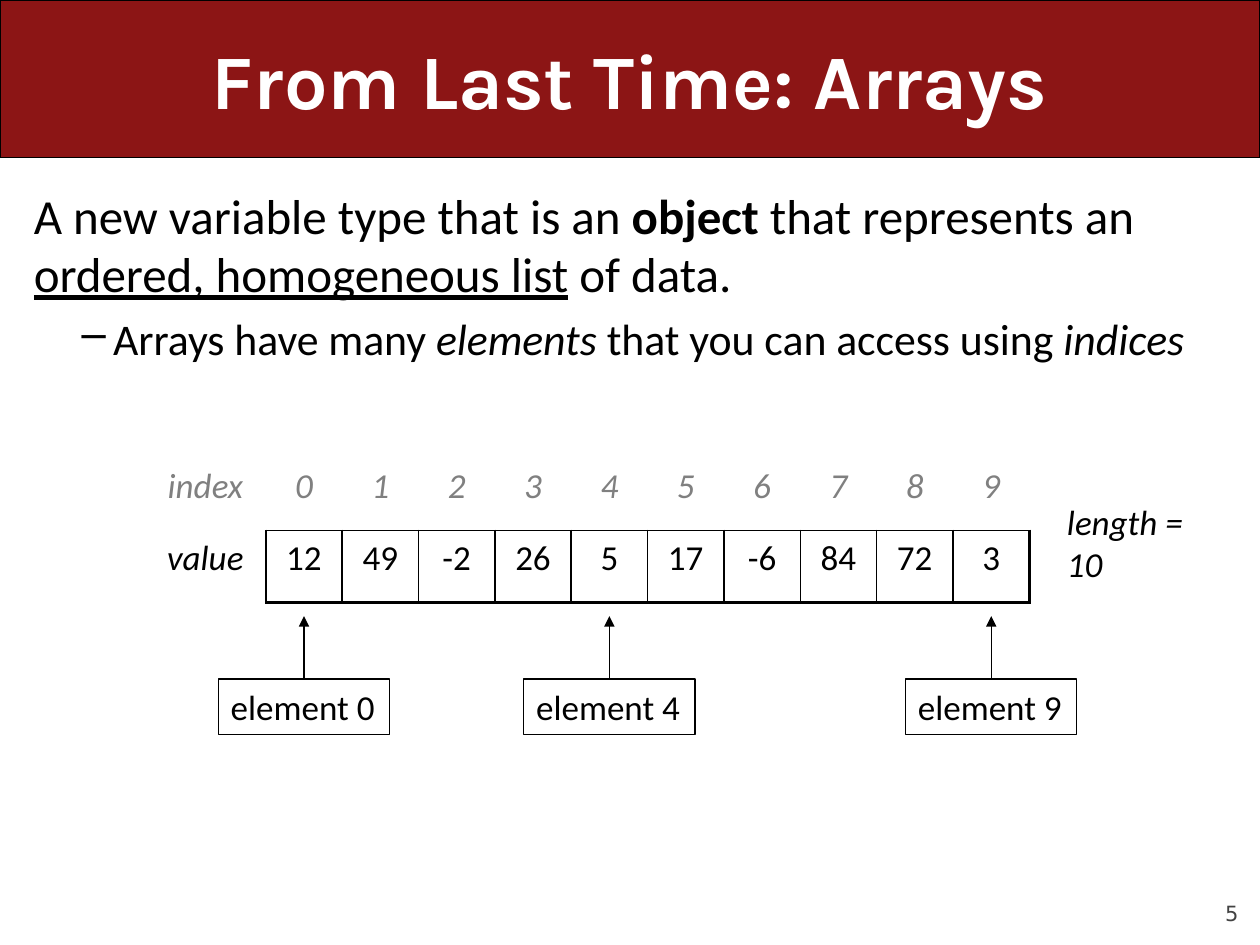
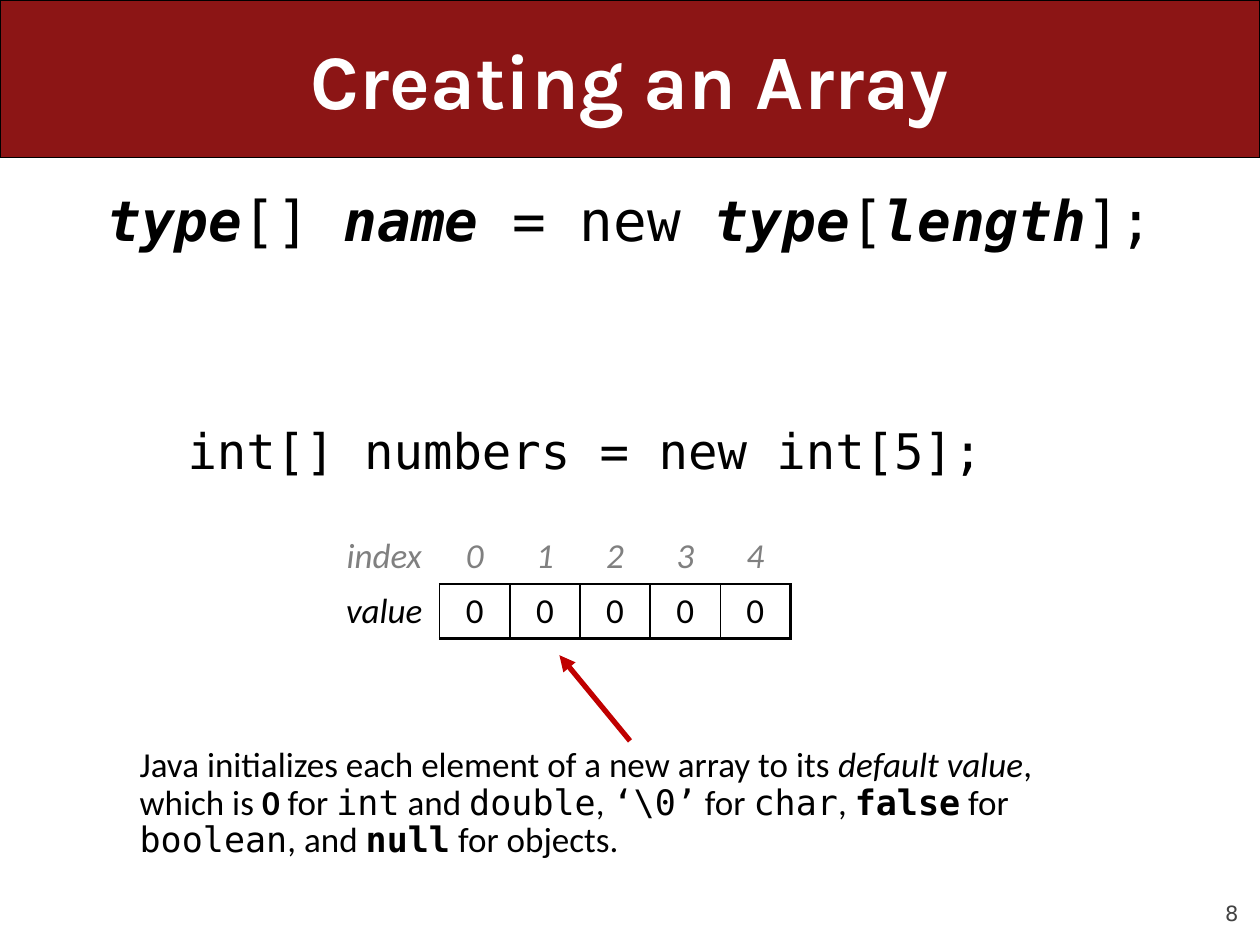
from lxml.etree import SubElement
from pptx import Presentation
from pptx.dml.color import RGBColor
from pptx.enum.shapes import MSO_CONNECTOR as Connector, MSO_SHAPE as Shape
from pptx.enum.text import MSO_ANCHOR as Anchor, PP_ALIGN as Align
from pptx.oxml.ns import qn
from pptx.oxml.xmlchemy import OxmlElement
from pptx.util import Inches, Pt

COLORS = {
    "band": "8C1515",
    "title": "FFFFFF",
    "text": "000000",
    "index": "808080",
    "page": "424242",
    "pointer": "C00000",
}
BODY_FONT = "Calibri"
TITLE_FONT = "Karla"
CODE_FONT = "DejaVu Sans Mono"
PAGE_FONT = "DejaVu Sans"
BODY_LEFT, BODY_TOP, BODY_WIDTH = 0.17, 1.42, 9.67
THIN, THICK = 1, 2.25


def color(name):
    return RGBColor.from_string(COLORS[name])


def add_runs(paragraph, runs, size, color_name="text", font_name=BODY_FONT):
    """Add (text, style) pairs; style letters: b bold, i italic, u underline, m code font."""
    for text, style in runs:
        run = paragraph.add_run()
        run.text = text
        font = run.font
        font.name = CODE_FONT if "m" in style else font_name
        font.size = Pt(size)
        font.color.rgb = color(color_name)
        font.bold = "b" in style
        font.italic = "i" in style
        font.underline = "u" in style


def add_text(slide, box, runs, size, color_name="text", font_name=BODY_FONT,
             align=Align.LEFT, anchor=Anchor.TOP, wrap=True):
    shape = slide.shapes.add_textbox(*map(Inches, box))
    frame = shape.text_frame
    frame.word_wrap = wrap
    frame.vertical_anchor = anchor
    frame.paragraphs[0].alignment = align
    add_runs(frame.paragraphs[0], runs, size, color_name, font_name)
    return frame


def add_dash_item(frame, runs, size):
    paragraph = frame.add_paragraph()
    properties = paragraph._p.get_or_add_pPr()
    properties.set("marL", str(Inches(0.63)))
    properties.set("indent", str(Inches(-0.25)))
    SubElement(properties, qn("a:buChar")).set("char", "–")
    paragraph.space_before = Pt(size * 0.2)
    add_runs(paragraph, runs, size)


def add_rectangle(slide, box, fill_name=None):
    shape = slide.shapes.add_shape(Shape.RECTANGLE, *map(Inches, box))
    shape.shadow.inherit = False
    if fill_name:
        shape.fill.solid()
        shape.fill.fore_color.rgb = color(fill_name)
    else:
        shape.fill.background()
    shape.line.color.rgb = color("text")
    shape.line.width = Pt(0.75)
    return shape


def add_arrow(slide, start, end, color_name="text", width=0.75):
    arrow = slide.shapes.add_connector(Connector.STRAIGHT, *map(Inches, start + end))
    arrow.line.color.rgb = color(color_name)
    arrow.line.width = Pt(width)
    SubElement(arrow.line._get_or_add_ln(), qn("a:tailEnd")).set("type", "triangle")
    SubElement(arrow._element.spPr, qn("a:effectLst"))


def set_borders(cell, widths):
    """Draw the sides named in widths (L, R, T, B) and hide the others."""
    properties = cell._tc.get_or_add_tcPr()
    for position, side in enumerate("LRTB"):
        line = OxmlElement(f"a:ln{side}")
        if side in widths:
            line.set("w", str(Pt(widths[side])))
            fill = SubElement(line, qn("a:solidFill"))
            SubElement(fill, qn("a:srgbClr")).set("val", COLORS["text"])
        else:
            SubElement(line, qn("a:noFill"))
        properties.insert(position, line)


def array_borders(row, column, last):
    if row == 0:
        return {"B": THIN} if column else {}
    if column == 0:
        return {"R": THIN}
    return {"L": THIN, "T": THIN, "B": THICK, "R": THICK if column == last else THIN}


def add_array(slide, left, top, label_width, cell_width, row_height, values):
    """Draw an array as a row of indices above a row of boxed values."""
    last = len(values)
    width = label_width + cell_width * last
    table = slide.shapes.add_table(2, last + 1, Inches(left), Inches(top),
                                   Inches(width), Inches(2 * row_height)).table
    table.first_row = table.horz_banding = False
    for position, column in enumerate(table.columns):
        column.width = Inches(cell_width if position else label_width)
    rows = [["index", *range(last)], ["value", *values]]
    for row, entries in enumerate(rows):
        table.rows[row].height = Inches(row_height)
        for column, entry in enumerate(entries):
            cell = table.cell(row, column)
            cell.fill.background()
            set_borders(cell, array_borders(row, column, last))
            paragraph = cell.text_frame.paragraphs[0]
            paragraph.alignment = Align.CENTER
            style = "i" if row == 0 or column == 0 else ""
            add_runs(paragraph, [(str(entry), style)], 20, "text" if row else "index")


def add_element_callout(slide, index, center):
    top, width = 5.39, 1.36
    add_arrow(slide, (center, top), (center, 4.89))
    frame = add_rectangle(slide, (center - width / 2, top, width, 0.44)).text_frame
    frame.word_wrap = False
    frame.paragraphs[0].alignment = Align.LEFT
    add_runs(frame.paragraphs[0], [(f"element {index}", "")], 20)


def add_titled_slide(presentation, title, page):
    slide = presentation.slides.add_slide(presentation.slide_layouts[6])
    number = add_text(slide, (9, 6.95, 0.83, 0.4), [(page, "")], 12, "page", PAGE_FONT,
                      Align.RIGHT, Anchor.BOTTOM)
    number.margin_left = number.margin_right = number.margin_top = number.margin_bottom = 0
    add_rectangle(slide, (0, 0, 10, 1.25), "band")
    add_text(slide, (0.5, 0, 9, 1.25), [(title, "b")], 44, "title", TITLE_FONT,
             Align.CENTER, Anchor.MIDDLE)
    return slide


def build_arrays_slide(presentation):
    slide = add_titled_slide(presentation, "From Last Time: Arrays", "5")
    body = add_text(slide, (BODY_LEFT, BODY_TOP, BODY_WIDTH, 1.7), [
        ("A new variable type that is an ", ""), ("object", "b"),
        (" that represents an ", ""), ("ordered, homogeneous list", "u"), (" of data.", ""),
    ], 28)
    add_dash_item(body, [
        ("Arrays have many ", ""), ("elements", "i"),
        (" that you can access using ", ""), ("indices", "i"),
    ], 25)
    left, label_width, cell_width = 1.15, 0.96, 0.606
    add_array(slide, left, 3.64, label_width, cell_width, 0.57,
              [12, 49, -2, 26, 5, 17, -6, 84, 72, 3])
    for index in (0, 4, 9):
        add_element_callout(slide, index, left + label_width + cell_width * (index + 0.5))
    add_text(slide, (8.37, 3.92, 1.46, 0.43), [("length = 10", "i")], 20, wrap=False)


def build_creation_slide(presentation):
    slide = add_titled_slide(presentation, "Creating an Array", "8")
    add_text(slide, (BODY_LEFT, BODY_TOP, BODY_WIDTH, 0.65), [
        ("type", "bim"), ("[] ", "m"), ("name", "bim"), (" = new ", "m"),
        ("type", "bim"), ("[", "m"), ("length", "bim"), ("];", "m"),
    ], 32, align=Align.CENTER)
    add_text(slide, (1.39, 3.29, 7, 0.55), [("int[] numbers = new int[5];", "m")], 28)
    add_array(slide, 2.61, 4.2, 0.88, 0.557, 0.434, [0] * 5)
    note = add_text(slide, (1.01, 5.88, 7.98, 1.01), [
        ("Java initializes each element of a new array to its ", ""),
        ("default value", "i"), (", which is ", ""), ("0", "b"), (" for ", ""),
        ("int", "m"), (" and ", ""), ("double", "m"), (", ", ""), ("‘\\0’", "m"),
        (" for ", ""), ("char", "m"), (", ", ""), ("false", "bm"), (" for ", ""),
        ("boolean", "m"), (", and ", ""), ("null", "bm"), (" for objects.", ""),
    ], 20)
    note.paragraphs[0].line_spacing = 0.9
    add_arrow(slide, (5, 5.88), (4.44, 5.2), "pointer", 3)


def main():
    presentation = Presentation()
    presentation.slide_width = Inches(10)
    presentation.slide_height = Inches(7.5)
    build_arrays_slide(presentation)
    build_creation_slide(presentation)
    presentation.save("out.pptx")


if __name__ == "__main__":
    main()
